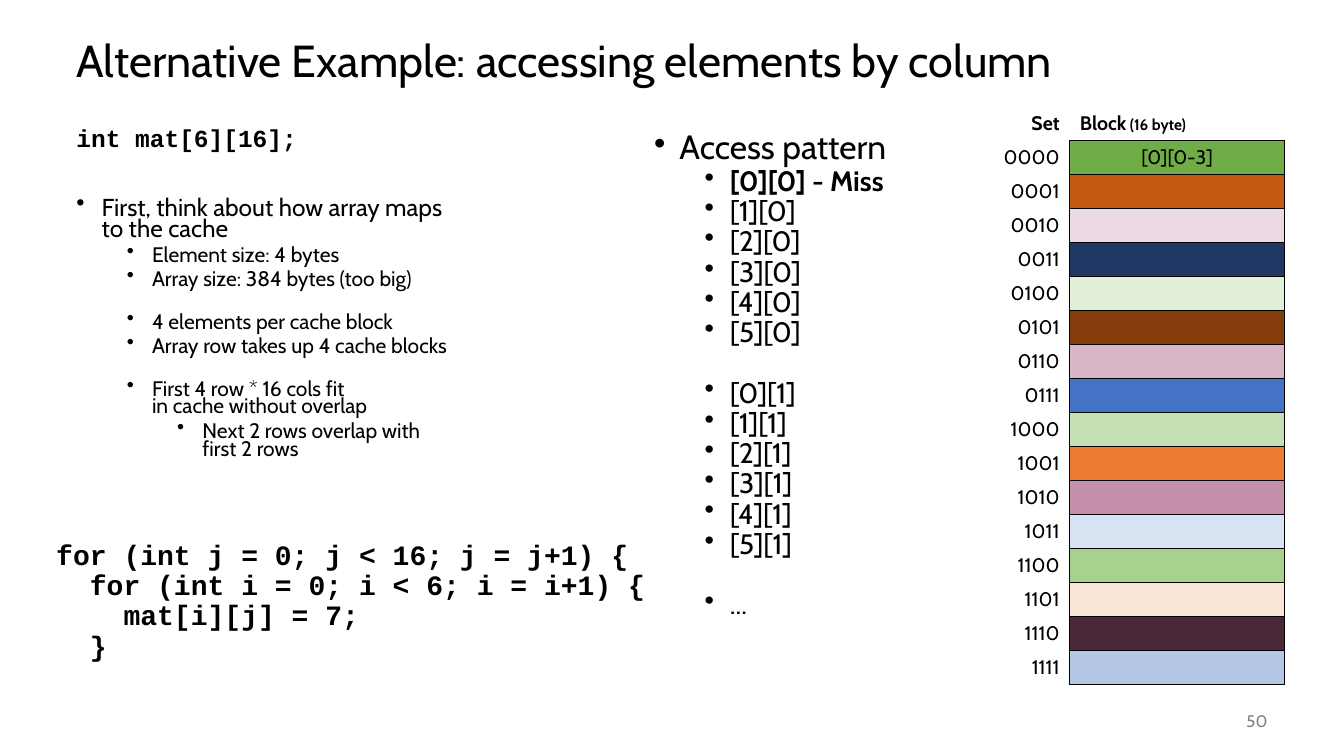
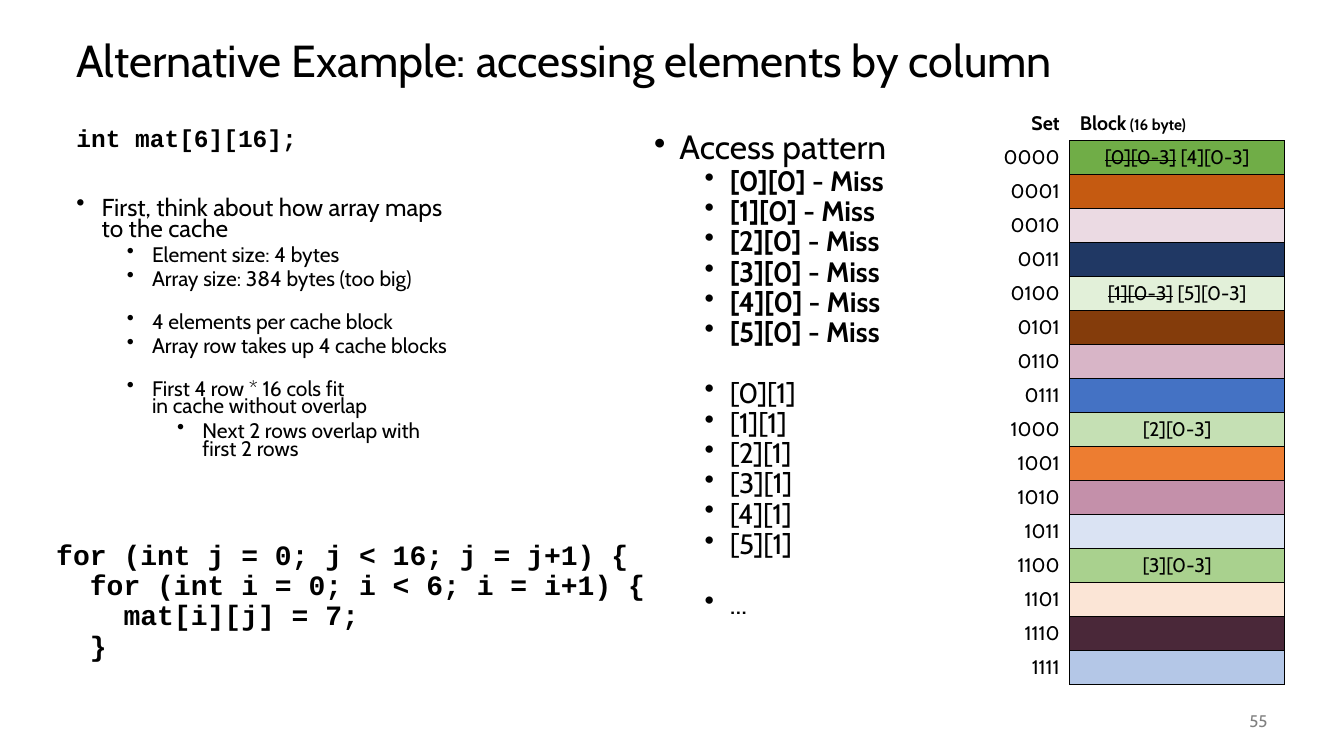
from dataclasses import dataclass

from lxml import etree
from pptx import Presentation
from pptx.dml.color import RGBColor
from pptx.enum.text import MSO_ANCHOR, PP_ALIGN
from pptx.oxml.ns import qn
from pptx.util import Inches, Pt

LEFT, MID, RIGHT = PP_ALIGN.LEFT, PP_ALIGN.CENTER, PP_ALIGN.RIGHT
TOP, CENTER = MSO_ANCHOR.TOP, MSO_ANCHOR.MIDDLE


@dataclass(frozen=True)
class Theme:
    """Fonts, colours and type sizes of the deck."""
    font: str = "Cabin"
    mono: str = "Courier New"
    ink: str = "000000"
    pale: str = "808080"
    paper: str = "FFFFFF"
    title: float = 32
    head: float = 24
    code: float = 20
    lead: float = 17.5
    body: float = 15
    cell: float = 14
    foot: float = 12
    note: float = 11


T = Theme()
TITLE = "Alternative Example: accessing elements by column"
ROWS, COLS, SETS, WIDTH = 6, 16, 16, 4
FILLS = ("70AD47", "C55A11", "EBDAE3", "203864", "E2F0D9", "843C0B", "D8B5C7", "4472C4",
         "C5E0B4", "ED7D31", "C490AA", "DAE3F3", "A9D18E", "FBE5D6", "4A2839", "B4C7E7")
LOOP = ("for (int j = 0; j < 16; j = j+1) {",
        "  for (int i = 0; i < 6; i = i+1) {",
        "    mat[i][j] = 7;",
        "  }")
NOTES = (
    ("First, think about how array maps to the cache", 0, T.lead, 34.7),
    ("Element size: 4 bytes", 1, T.body, 5),
    ("Array size: 384 bytes (too big)", 1, T.body, 5),
    ("4 elements per cache block", 1, T.body, 17.6),
    ("Array row takes up 4 cache blocks", 1, T.body, 5),
    ("First 4 row * 16 cols fit\nin cache without overlap", 1, T.body, 17.6),
    ("Next 2 rows overlap with first 2 rows", 2, T.body, 5),
)


def rgb(code):
    """Turn a hex code into a colour."""
    return RGBColor.from_string(code)


def bullet(para, level):
    """Give a paragraph a hanging bullet at a level."""
    para.level = level
    props = para._p.get_or_add_pPr()
    props.set("marL", str(Inches(0.25 + 0.5 * level)))
    props.set("indent", str(Inches(-0.25)))
    etree.SubElement(props, qn("a:buChar")).set("char", "•")


def style(run, size, font, bold, color, strike):
    """Format one run."""
    run.font.size, run.font.name, run.font.bold = Pt(size), font, bold
    run.font.color.rgb = rgb(color)
    if strike:
        run._r.get_or_add_rPr().set("strike", "sngStrike")


def write(frame, text, level=None, align=LEFT, lines=1.0, gap=0, **form):
    """Add a paragraph of plain text or of (text, format) runs."""
    para = frame.paragraphs[0]
    if para.runs:
        para = frame.add_paragraph()
    para.alignment, para.line_spacing, para.space_before = align, lines, Pt(gap)
    if level is not None:
        bullet(para, level)
    base = dict(size=T.cell, font=T.font, bold=False, color=T.ink, strike=False)
    for part, extra in [(text, {})] if isinstance(text, str) else text:
        for k, line in enumerate(part.split("\n")):
            if k:
                para.add_line_break()
            run = para.add_run()
            run.text = line
            style(run, **{**base, **form, **extra})


def place(shape, left, top, width, height):
    """Set the position and size of a shape."""
    shape.left, shape.top = Inches(left), Inches(top)
    shape.width, shape.height = Inches(width), Inches(height)


def box(slide, left, top, width, height, anchor=TOP):
    """Add a wrapping text box and return its frame."""
    shape = slide.shapes.add_textbox(0, 0, 0, 0)
    place(shape, left, top, width, height)
    shape.text_frame.word_wrap = True
    shape.text_frame.vertical_anchor = anchor
    return shape.text_frame


def start(deck, number):
    """Add a slide with its title and number."""
    slide = deck.slides.add_slide(deck.slide_layouts[5])
    title = slide.shapes.title
    place(title, 0.66, 0.25, 12, 0.75)
    title.text_frame.vertical_anchor = CENTER
    write(title.text_frame, TITLE, size=T.title, lines=0.9)
    foot = box(slide, 11.67, 6.95, 1, 0.4, CENTER)
    write(foot, str(number), align=RIGHT, size=T.foot, color=T.pale)
    return slide


def add_code(slide):
    """Add the nested loop."""
    frame = box(slide, 0.46, 5.32, 7.57, 1.4)
    for line in LOOP:
        write(frame, line, size=T.code, font=T.mono, bold=True, lines=0.9)


def add_notes(slide):
    """Add the array and how it maps to the cache."""
    frame = box(slide, 0.66, 1.25, 3.93, 3.57)
    write(frame, "int mat[6][16];", size=T.lead, font=T.mono, bold=True, lines=0.7)
    for text, level, size, gap in NOTES:
        write(frame, text, level=level, size=size, gap=gap, lines=0.7)


def add_steps(slide, count):
    """List the accesses, the first ones marked as misses."""
    frame = box(slide, 6.39, 1.25, 6.28, 5.5)
    form = dict(level=1, size=T.code, lines=0.9)
    skip = 21.6
    write(frame, "Access pattern", level=0, size=T.head, lines=0.9)
    for k in range(2 * ROWS):
        col, row = divmod(k, ROWS)
        miss = k < count
        write(frame, f"[{row}][{col}]" + " - Miss" * miss, bold=miss,
              gap=skip if col and not row else 0, **form)
    write(frame, "...", gap=skip, **form)


def border(cell, sides):
    """Draw thin lines on the given sides of a cell."""
    props = cell._tc.get_or_add_tcPr()
    for side in sides:
        line = etree.SubElement(props, qn(f"a:ln{side}"), w=str(Pt(1)))
        fill = etree.SubElement(line, qn("a:solidFill"))
        etree.SubElement(fill, qn("a:srgbClr"), val=T.ink)


def paint(cell, fill, sides=""):
    """Set the border, fill and margins of a cell."""
    border(cell, sides)
    cell.fill.solid()
    cell.fill.fore_color.rgb = rgb(fill)
    cell.margin_top = cell.margin_bottom = 0
    cell.vertical_anchor = CENTER


def blocks(count):
    """Map each set to the rows it has held after some accesses."""
    held = {}
    for row in range(count):
        held.setdefault(row * COLS // WIDTH % SETS, []).append(row)
    return held


def add_cache(slide, count):
    """Add the table of cache sets and their blocks."""
    high = 5.73
    table = slide.shapes.add_table(SETS + 1, 2, Inches(9.72), Inches(1.06),
                                   Inches(3.02), Inches(high)).table
    table.first_row = table.horz_banding = False
    table.columns[0].width, table.columns[1].width = Inches(0.89), Inches(2.13)
    for row in table.rows:
        row.height = Inches(high / (SETS + 1))
    name, block = table.cell(0, 0), table.cell(0, 1)
    paint(name, T.paper)
    paint(block, T.paper, "B")
    write(name.text_frame, "Set", align=RIGHT, bold=True)
    write(block.text_frame, [("Block", {}), (" (16 byte)", {"size": T.note})], bold=True)
    held = blocks(count)
    for k, fill in enumerate(FILLS):
        name, block = table.cell(k + 1, 0), table.cell(k + 1, 1)
        paint(name, T.paper, "R")
        paint(block, fill, "LRTB")
        write(name.text_frame, f"{k:04b}", align=RIGHT)
        rows = held.get(k, [])
        if rows:
            runs = [(" " * (row != rows[0]) + f"[{row}][0-3]", {"strike": row != rows[-1]})
                    for row in rows]
            write(block.text_frame, runs, align=MID)


def main():
    """Build and save the deck."""
    deck = Presentation()
    deck.slide_width, deck.slide_height = Inches(13.33), Inches(7.5)
    for number, count in ((50, 1), (55, 6)):
        slide = start(deck, number)
        add_code(slide)
        add_notes(slide)
        add_cache(slide, count)
        add_steps(slide, count)
    deck.save("out.pptx")


if __name__ == "__main__":
    main()
